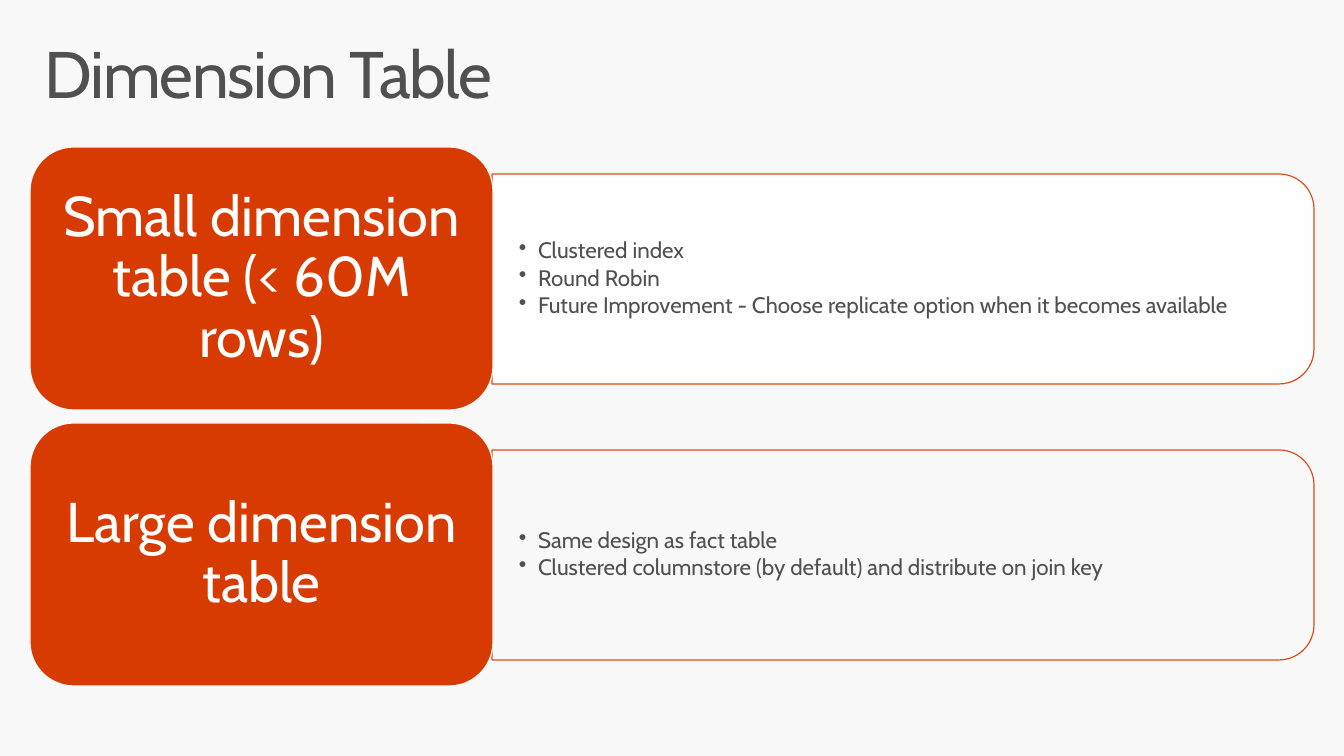
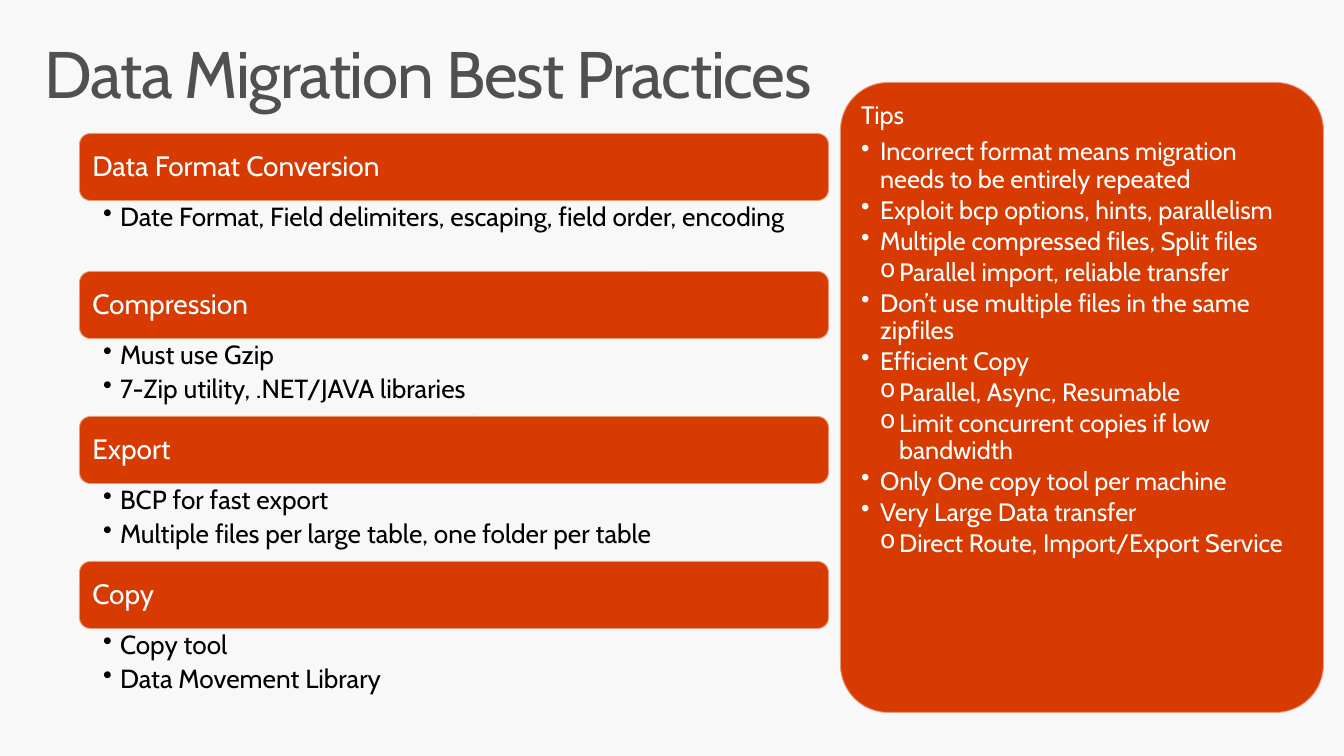
from dataclasses import dataclass
from typing import NamedTuple, Optional

from lxml.etree import SubElement
from pptx import Presentation
from pptx.dml.color import RGBColor
from pptx.enum.shapes import MSO_SHAPE as Preset
from pptx.enum.text import MSO_ANCHOR as Anchor, PP_ALIGN as Align
from pptx.oxml.ns import qn
from pptx.presentation import Presentation as Deck
from pptx.shapes.autoshape import Shape
from pptx.slide import Slide
from pptx.text.text import TextFrame
from pptx.util import Emu, Pt

SLIDE_WIDTH, SLIDE_HEIGHT = 1344, 756
EMU_PER_PX = 12192000 / SLIDE_WIDTH
FONT = "Cabin"
COLORS = {
    "background": "F8F8F8",
    "title": "505050",
    "accent": "D83B01",
    "white": "FFFFFF",
    "outline": "F9F9F9",
    "black": "000000",
}


class Box(NamedTuple):
    left: int
    top: int
    width: int
    height: int


class Insets(NamedTuple):
    left: int
    top: int
    right: int
    bottom: int


@dataclass(frozen=True)
class Outline:
    color: str
    width: float
    opacity: int = 100


@dataclass(frozen=True)
class TextStyle:
    size: float
    color: str
    space_after: float = 0
    indent: int = 0
    align: Align = Align.LEFT
    spacing: int = 0


@dataclass(frozen=True)
class Line:
    text: str
    level: int = 1


@dataclass(frozen=True)
class Section:
    heading: str
    lines: tuple[Line, ...]
    fill: Optional[str] = None
    body_height: int = 77


BULLETS = {1: "•", 2: "o"}

TITLE = TextStyle(47, "title", spacing=-100)
LABEL = TextStyle(40, "white", 0.35, align=Align.CENTER)
CARD_ITEM = TextStyle(16, "title", 0.15, indent=19)
BAR = TextStyle(20, "white", 0.35)
BAR_ITEM = TextStyle(18.7, "black", 0.2, indent=17)
TIPS_HEADING = TextStyle(18, "white", 0.35)
TIPS_ITEM = TextStyle(18, "white", 0.15, indent=19)

CARD_OUTLINE = Outline("accent", 0.85, 90)
LABEL_OUTLINE = Outline("background", 0.85)
BAR_OUTLINE = Outline("outline", 1.35, 50)

DIMENSIONS = (
    Section(
        "Small dimension table (< 60M rows)",
        (
            Line("Clustered index"),
            Line("Round Robin"),
            Line("Future Improvement - Choose replicate option when it becomes available"),
        ),
        fill="white",
    ),
    Section(
        "Large dimension table",
        (
            Line("Same design as fact table"),
            Line("Clustered columnstore (by default) and distribute on join key"),
        ),
    ),
)

PRACTICES = (
    Section(
        "Data Format Conversion",
        (Line("Date Format, Field delimiters, escaping, field order, encoding"),),
        body_height=70,
    ),
    Section("Compression", (Line("Must use Gzip"), Line("7-Zip utility, .NET/JAVA libraries"))),
    Section(
        "Export",
        (
            Line("BCP for fast export"),
            Line("Multiple files per large table, one folder per table"),
        ),
    ),
    Section("Copy", (Line("Copy tool"), Line("Data Movement Library"))),
)

TIPS = (
    Line("Incorrect format means migration needs to be entirely repeated"),
    Line("Exploit bcp options, hints, parallelism"),
    Line("Multiple compressed files, Split files"),
    Line("Parallel import, reliable transfer", 2),
    Line("Don’t use multiple files in the same zipfiles"),
    Line("Efficient Copy"),
    Line("Parallel, Async, Resumable", 2),
    Line("Limit concurrent copies if low bandwidth", 2),
    Line("Only One copy tool per machine"),
    Line("Very Large Data transfer"),
    Line("Direct Route, Import/Export Service", 2),
)


def px(value: float) -> Emu:
    return Emu(round(value * EMU_PER_PX))


def rgb(name: str) -> RGBColor:
    return RGBColor.from_string(COLORS[name])


def set_opacity(shape: Shape, parents: tuple[str, ...], percent: int) -> None:
    steps = "/".join(qn(tag) for tag in (*parents, "a:solidFill", "a:srgbClr"))
    color = shape.element.spPr.find(steps)
    SubElement(color, qn("a:alpha")).set("val", str(percent * 1000))


def add_panel(
    slide: Slide,
    preset: Preset,
    box: Box,
    outline: Outline,
    fill: Optional[str] = "accent",
    fill_opacity: int = 100,
) -> Shape:
    shape = slide.shapes.add_shape(preset, *map(px, box))
    shape.shadow.inherit = False
    if fill is None:
        shape.fill.background()
    else:
        shape.fill.solid()
        shape.fill.fore_color.rgb = rgb(fill)
        if fill_opacity < 100:
            set_opacity(shape, (), fill_opacity)
    shape.line.color.rgb = rgb(outline.color)
    shape.line.width = Pt(outline.width)
    if outline.opacity < 100:
        set_opacity(shape, ("a:ln",), outline.opacity)
    return shape


def prepare_frame(shape: Shape, insets: Insets, anchor: Anchor = Anchor.TOP) -> TextFrame:
    frame = shape.text_frame
    frame.word_wrap = True
    frame.vertical_anchor = anchor
    frame.margin_left, frame.margin_top, frame.margin_right, frame.margin_bottom = map(px, insets)
    return frame


def add_text_box(
    slide: Slide, box: Box, insets: Insets, anchor: Anchor = Anchor.TOP
) -> TextFrame:
    return prepare_frame(slide.shapes.add_textbox(*map(px, box)), insets, anchor)


def write_lines(frame: TextFrame, lines: tuple[Line, ...], style: TextStyle) -> None:
    for line in lines:
        first = frame.paragraphs[0]
        paragraph = frame.add_paragraph() if first.runs else first
        if style.indent:
            properties = paragraph._p.get_or_add_pPr()
            properties.set("marL", str(px(style.indent * line.level)))
            properties.set("indent", str(-px(style.indent)))
            SubElement(properties, qn("a:buChar")).set("char", BULLETS[line.level])
        paragraph.alignment = style.align
        paragraph.line_spacing = 0.9
        paragraph.space_after = Pt(style.size * style.space_after)
        run = paragraph.add_run()
        run.text = line.text
        run.font.name = FONT
        run.font.size = Pt(style.size)
        run.font.color.rgb = rgb(style.color)
        if style.spacing:
            run.font._element.set("spc", str(style.spacing))


def add_titled_slide(presentation: Deck, title: str) -> Slide:
    slide = presentation.slides.add_slide(presentation.slide_layouts[6])
    slide.background.fill.solid()
    slide.background.fill.fore_color.rgb = rgb("background")
    frame = add_text_box(slide, Box(29, 32, 1285, 99), Insets(16, 10, 16, 10))
    write_lines(frame, (Line(title),), TITLE)
    return slide


def add_dimension(slide: Slide, section: Section, top: int) -> None:
    label = Box(30, top, 463, 263)
    card = Box(492, top + 27, 822, 210)
    turned = Box(
        card.left + (card.width - card.height) // 2,
        card.top + (card.height - card.width) // 2,
        card.height,
        card.width,
    )
    panel = add_panel(
        slide, Preset.ROUND_2_SAME_RECTANGLE, turned, CARD_OUTLINE, section.fill, 90
    )
    panel.rotation = 90
    text_box = Box(card.left, card.top + 10, card.width - 10, card.height - 20)
    frame = add_text_box(slide, text_box, Insets(27, 14, 27, 14), Anchor.MIDDLE)
    write_lines(frame, section.lines, CARD_ITEM)
    shape = add_panel(slide, Preset.ROUNDED_RECTANGLE, label, LABEL_OUTLINE)
    frame = prepare_frame(shape, Insets(17, 8, 17, 8), Anchor.MIDDLE)
    write_lines(frame, (Line(section.heading),), LABEL)


def add_practice(slide: Slide, section: Section, top: int) -> int:
    bar = Box(79, top, 750, 68)
    shape = add_panel(slide, Preset.ROUNDED_RECTANGLE, bar, BAR_OUTLINE)
    frame = prepare_frame(shape, Insets(10, 10, 10, 10), Anchor.MIDDLE)
    write_lines(frame, (Line(section.heading),), BAR)
    body = Box(bar.left, top + bar.height, bar.width, section.body_height)
    frame = add_text_box(slide, body, Insets(24, 3, 19, 3))
    write_lines(frame, section.lines, BAR_ITEM)
    return body.top + body.height


def add_tips(slide: Slide) -> None:
    shape = add_panel(slide, Preset.ROUNDED_RECTANGLE, Box(840, 82, 484, 631), BAR_OUTLINE)
    shape.adjustments[0] = 0.1
    frame = prepare_frame(shape, Insets(7, 7, 7, 7))
    write_lines(frame, (Line("Tips"),), TIPS_HEADING)
    write_lines(frame, TIPS, TIPS_ITEM)


def main() -> None:
    presentation = Presentation()
    presentation.slide_width = px(SLIDE_WIDTH)
    presentation.slide_height = px(SLIDE_HEIGHT)

    slide = add_titled_slide(presentation, "Dimension Table")
    for index, section in enumerate(DIMENSIONS):
        add_dimension(slide, section, 147 + index * 276)

    slide = add_titled_slide(presentation, "Data Migration Best Practices")
    top = 133
    for section in PRACTICES:
        top = add_practice(slide, section, top)
    add_tips(slide)

    presentation.save("out.pptx")


if __name__ == "__main__":
    main()
